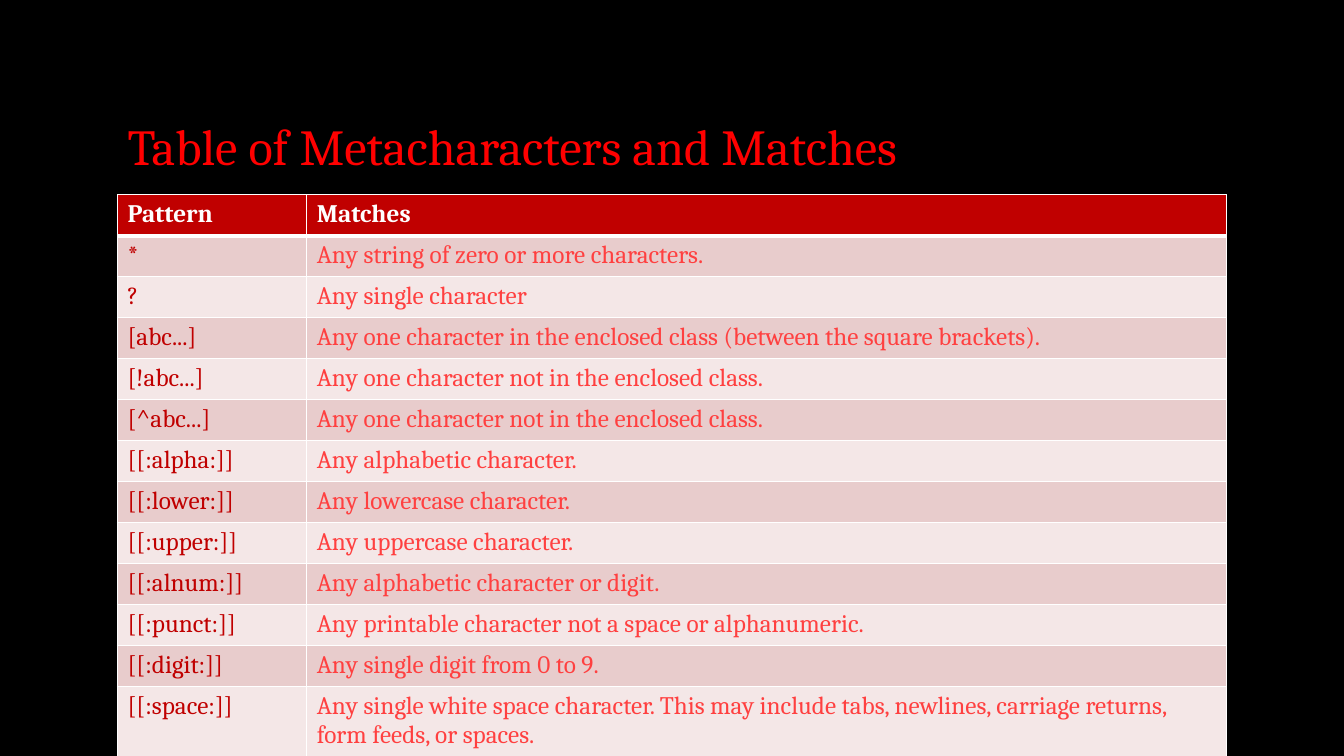
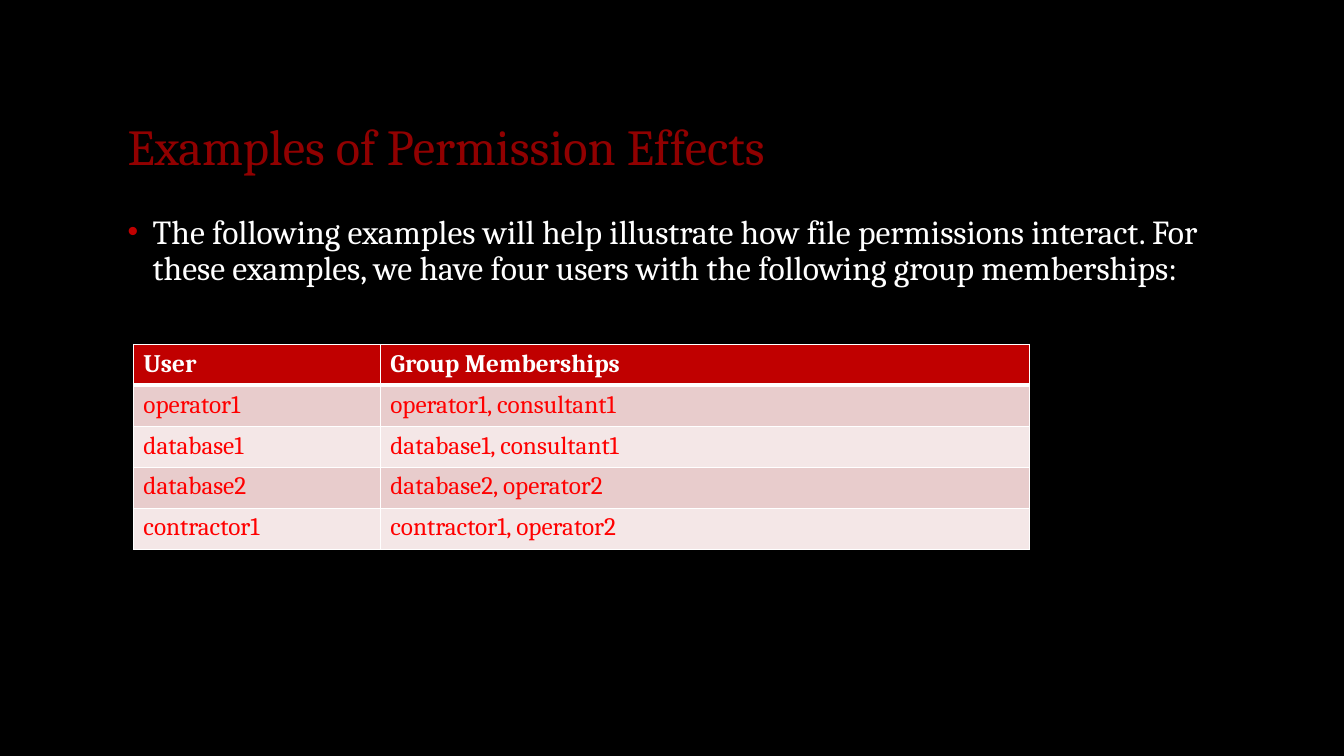
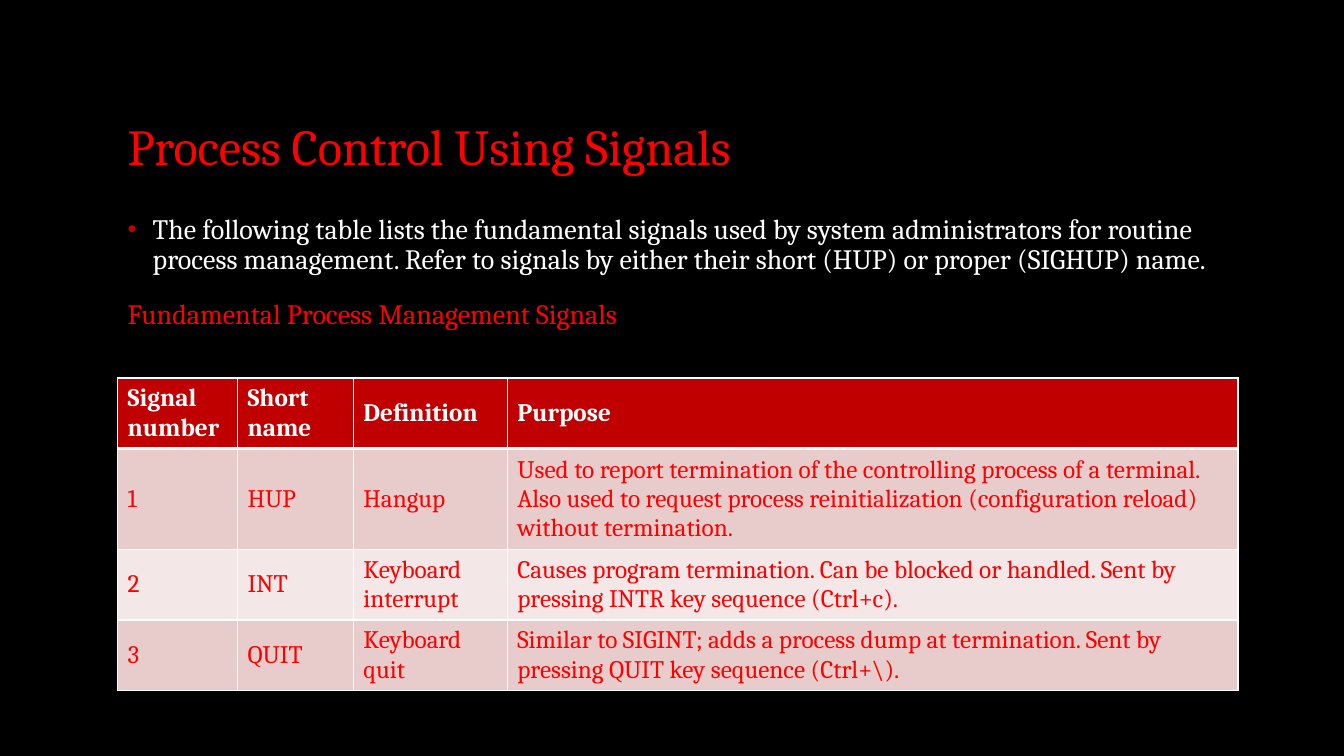
from lxml.etree import SubElement as Sub
from pptx import Presentation
from pptx.dml.color import RGBColor
from pptx.enum.text import MSO_ANCHOR as Anchor
from pptx.oxml import parse_xml
from pptx.oxml.ns import nsdecls, qn
from pptx.util import Inches, Pt

FONT = "Cambria"
BLACK, WHITE = "000000", "FFFFFF"
RED, DEEP, DARK, LIGHT = "FF0000", "C00000", "900000", "FF4040"
BANDS = ["F4E7E7", "E8CCCC"]

# The slide is a grid of 80 columns by 45 rows.
WIDE, HIGH = Inches(13.333), Inches(7.5)
COLS, ROWS = 80, 45
LEFT, SPAN = 7, 66


def rgb(code):
    return RGBColor.from_string(code)


def across(cols):
    return int(WIDE * cols / COLS)


def down(rows):
    return int(HIGH * rows / ROWS)


def style(para, size, color, bold=False):
    for run in para.runs:
        font = run.font
        font.name, font.size, font.bold = FONT, Pt(size), bold
        font.color.rgb = rgb(color)


def add_box(slide, top, height, anchor):
    """Add a wrapping text box across the content columns."""
    box = slide.shapes.add_textbox(
        across(LEFT), down(top), across(SPAN), down(height))
    frame = box.text_frame
    frame.word_wrap = True
    frame.vertical_anchor = anchor
    return frame


def add_bullet(para):
    props = para._p.get_or_add_pPr()
    props.set("marL", str(Inches(0.25)))
    props.set("indent", str(-Inches(0.25)))
    Sub(Sub(props, qn("a:buClr")), qn("a:srgbClr")).set("val", DEEP)
    Sub(props, qn("a:buSzPct")).set("val", "90000")
    Sub(props, qn("a:buFont")).set("typeface", "Arial")
    Sub(props, qn("a:buChar")).set("char", "•")


def add_slide(deck, title, color=RED):
    slide = deck.slides.add_slide(deck.slide_layouts[6])
    fill = slide.background.fill
    fill.solid()
    fill.fore_color.rgb = rgb(BLACK)
    para = add_box(slide, 3, 7.8, Anchor.BOTTOM).paragraphs[0]
    para.text = title
    para.line_spacing = 0.9
    style(para, 36, color)
    return slide


def add_body(slide, size, point, label=None):
    """Add a bulleted point and, below it, an optional red label."""
    frame = add_box(slide, 12.5, 28, Anchor.TOP)
    para = frame.paragraphs[0]
    para.text = point
    add_bullet(para)
    para.line_spacing = 0.9
    style(para, size, WHITE)
    if label:
        para = frame.add_paragraph()
        para.text = label
        para.line_spacing = 0.9
        para.space_before = Pt(18)
        style(para, size, RED)


def add_edges(cell, top, bottom):
    """Give a cell white borders; top and bottom are widths in points."""
    props = cell._tc.get_or_add_tcPr()
    edges = [("L", 1), ("R", 1), ("T", top), ("B", bottom)]
    for spot, (side, width) in enumerate(edges):
        props.insert(spot, parse_xml(
            f'<a:ln{side} {nsdecls("a")} w="{Pt(width)}"><a:solidFill>'
            f'<a:srgbClr val="{WHITE}"/></a:solidFill></a:ln{side}>'))


def add_grid(slide, left, top, widths, height, data, colors,
             anchor=Anchor.TOP):
    """Add a banded table; colors holds one text colour per column."""
    table = slide.shapes.add_table(
        len(data), len(widths), across(left), down(top),
        across(sum(widths)), down(height * len(data))).table
    for col, width in zip(table.columns, widths):
        col.width = across(width)
    for r, line in enumerate(data):
        head = r == 0
        table.rows[r].height = down(height)
        for c, text in enumerate(line):
            cell = table.cell(r, c)
            cell.vertical_anchor = anchor
            cell.fill.solid()
            cell.fill.fore_color.rgb = rgb(DEEP if head else BANDS[r % 2])
            add_edges(cell, 3 if r == 1 else 1, 3 if head else 1)
            para = cell.text_frame.paragraphs[0]
            para.text = text
            style(para, 18, WHITE if head else colors[c], head)


MATCHES = [
    ("Pattern", "Matches"),
    ("*", "Any string of zero or more characters."),
    ("?", "Any single character"),
    ("[abc...]", "Any one character in the enclosed class "
                 "(between the square brackets)."),
    ("[!abc...]", "Any one character not in the enclosed class."),
    ("[^abc...]", "Any one character not in the enclosed class."),
    ("[[:alpha:]]", "Any alphabetic character."),
    ("[[:lower:]]", "Any lowercase character."),
    ("[[:upper:]]", "Any uppercase character."),
    ("[[:alnum:]]", "Any alphabetic character or digit."),
    ("[[:punct:]]", "Any printable character not a space or alphanumeric."),
    ("[[:digit:]]", "Any single digit from 0 to 9."),
    ("[[:space:]]", "Any single white space character. This may include tabs, "
                    "newlines, carriage returns, form feeds, or spaces."),
]
USERS = [
    ("User", "Group Memberships"),
    ("operator1", "operator1, consultant1"),
    ("database1", "database1, consultant1"),
    ("database2", "database2, operator2"),
    ("contractor1", "contractor1, operator2"),
]
SIGNALS = [
    ("Signal number", "Short name", "Definition", "Purpose"),
    ("1", "HUP", "Hangup",
     "Used to report termination of the controlling process of a terminal. "
     "Also used to request process reinitialization (configuration reload) "
     "without termination."),
    ("2", "INT", "Keyboard interrupt",
     "Causes program termination. Can be blocked or handled. "
     "Sent by pressing INTR key sequence (Ctrl+c)."),
    ("3", "QUIT", "Keyboard quit",
     "Similar to SIGINT; adds a process dump at termination. "
     "Sent by pressing QUIT key sequence (Ctrl+\\)."),
]


def main():
    deck = Presentation()
    deck.slide_width, deck.slide_height = WIDE, HIGH

    slide = add_slide(deck, "Table of Metacharacters and Matches")
    add_grid(slide, LEFT, 11.6, [11.26, 54.74], 2.44, MATCHES, [DEEP, LIGHT])

    slide = add_slide(deck, "Examples of Permission Effects", DARK)
    add_body(slide, 24,
             "The following examples will help illustrate how file "
             "permissions interact. For these examples, we have four users "
             "with the following group memberships:")
    add_grid(slide, 7.94, 20.5, [14.7, 38.64], 2.44, USERS, [RED] * 2)

    slide = add_slide(deck, "Process Control Using Signals")
    add_body(slide, 20,
             "The following table lists the fundamental signals used by "
             "system administrators for routine process management. Refer to "
             "signals by either their short (HUP) or proper (SIGHUP) name.",
             "Fundamental Process Management Signals")
    add_grid(slide, LEFT, 22.5, [7.14, 6.9, 9.16, 43.5], 3.06, SIGNALS,
             [RED] * 4, Anchor.MIDDLE)

    deck.save("out.pptx")


if __name__ == "__main__":
    main()
